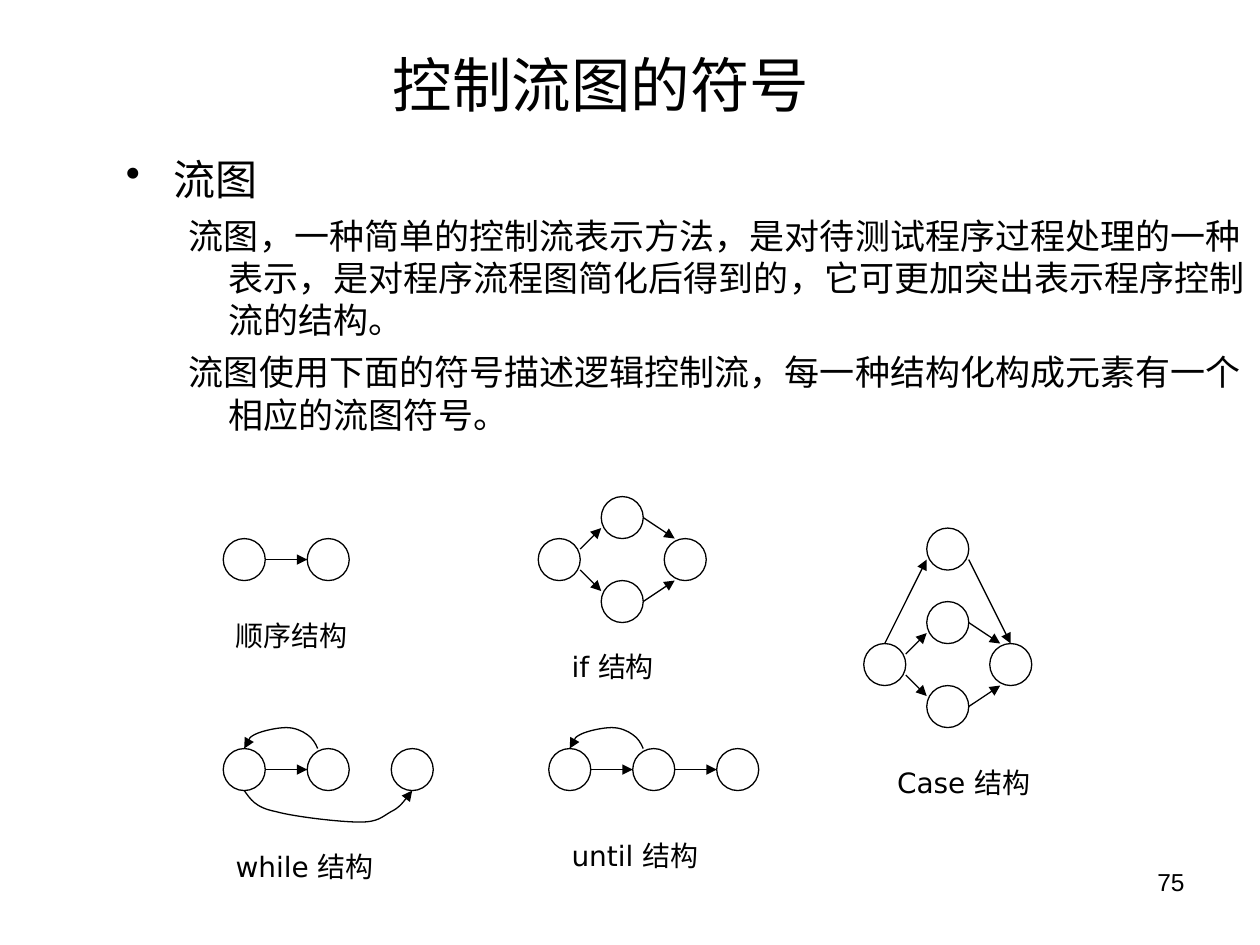
import pptx
import pptx.dml.color
import pptx.enum.shapes
import pptx.enum.text
import pptx.oxml.ns
import pptx.util
from lxml import etree
from pptx.util import Cm

THEME = {
    "ink": pptx.dml.color.RGBColor(0, 0, 0),
    "paper": pptx.dml.color.RGBColor(255, 255, 255),
    "font": "Arial", "label_font": "DejaVu Sans",
    "title": 34, "heading": 24, "body": 20, "label": 16, "number": 14,
    "line": 0.75,
}
ALIGN = pptx.enum.text.PP_ALIGN
ANCHOR = pptx.enum.text.MSO_ANCHOR

TITLE = "控制流图的符号"
NUMBER = "75"
HEADING = "流图"
BODY = [
    "流图，一种简单的控制流表示方法，是对待测试程序过程处理的一种表示，"
    "是对程序流程图简化后得到的，它可更加突出表示程序控制流的结构。",
    "流图使用下面的符号描述逻辑控制流，每一种结构化构成元素有一个相应的流图符号。",
]

UNIT = 2.54 / 12
LEFT, TOP = 4.5, 10.01
NODE = 4
LABEL_SIZE = (17, 4.4)

DIAMOND_NODES = [(0, 0), (6, -4), (6, 4), (12, 0)]
DIAMOND_ARROWS = [((4, 1), (6, -1)), ((10, -2), (13, 0)),
                  ((4, 3), (6, 5)), ((10, 6), (13, 4))]
ROW_NODES = [(0, 0), (8, 0), (16, 0)]
ROW_ARROWS = [((4, 2), (8, 2)), ((12, 2), (16, 2))]
LOOP_BACK = [(9, 0), (8.8, -0.5), (8.5, -1), (8, -1.33), (7.5, -1.7), (6.8, -2), (6, -2),
             (5.2, -2), (3.7, -1.7), (3, -1.33), (2.4, -1), (2.2, -0.3), (2, 0)]
LOOP_EXIT = [(2, 4), (2.6, 4.8), (3, 5.6), (5, 6), (6.8, 6.5), (11.2, 7), (13, 7),
             (14.8, 7), (15.1, 6.5), (16, 6), (16.8, 5.6), (17.4, 4.8), (18, 4)]

STRUCTURES = [
    {"label": "顺序结构", "at": (0, 4), "label_at": (0, 7),
     "nodes": ROW_NODES[:2], "arrows": ROW_ARROWS[:1], "curves": []},
    {"label": "if 结构", "at": (30, 4), "label_at": (2, 10),
     "nodes": DIAMOND_NODES, "arrows": DIAMOND_ARROWS, "curves": []},
    {"label": "Case 结构", "at": (61, 14), "label_at": (2, 11),
     "nodes": DIAMOND_NODES + [(6, -11)],
     "arrows": DIAMOND_ARROWS + [((2, 0), (6, -8)), ((10, -8), (14, 0))], "curves": []},
    {"label": "while 结构", "at": (0, 24), "label_at": (0, 9),
     "nodes": ROW_NODES, "arrows": ROW_ARROWS[:1], "curves": [LOOP_BACK, LOOP_EXIT]},
    {"label": "until 结构", "at": (31, 24), "label_at": (1, 8),
     "nodes": ROW_NODES, "arrows": ROW_ARROWS, "curves": [LOOP_BACK]},
]


def write(tf, text, size, font=THEME["font"], align=ALIGN.LEFT, first=True,
          level=0, margin=0, hang=0, after=0, bullet=None):
    p = tf.paragraphs[0] if first else tf.add_paragraph()
    p.alignment, p.level = align, level
    p.space_after = pptx.util.Pt(after)
    pPr = p._p.get_or_add_pPr()
    pPr.set("marL", str(Cm(margin)))
    pPr.set("indent", str(-Cm(hang)))
    if bullet:
        etree.SubElement(pPr, pptx.oxml.ns.qn("a:buChar")).set("char", bullet)
    r = p.add_run()
    r.text = text
    r.font.size, r.font.name = pptx.util.Pt(size), font
    r.font.color.rgb = THEME["ink"]


def add_box(shapes, x, y, w, h, anchor=ANCHOR.TOP):
    tf = shapes.add_textbox(Cm(x), Cm(y), Cm(w), Cm(h)).text_frame
    tf.word_wrap, tf.vertical_anchor = True, anchor
    return tf


def outline(sp, arrow=False):
    sp.line.color.rgb = THEME["ink"]
    sp.line.width = pptx.util.Pt(THEME["line"])
    if arrow:
        ln = sp.line._get_or_add_ln()
        etree.SubElement(ln, pptx.oxml.ns.qn("a:tailEnd")).set("type", "triangle")


def add_node(shapes, x, y):
    sp = shapes.add_shape(pptx.enum.shapes.MSO_SHAPE.OVAL, x, y, Cm(NODE * UNIT), Cm(NODE * UNIT))
    sp.shadow.inherit = False
    sp.fill.solid()
    sp.fill.fore_color.rgb = THEME["paper"]
    outline(sp)


def add_arrow(shapes, start, end):
    sp = shapes.add_connector(pptx.enum.shapes.MSO_CONNECTOR.STRAIGHT, *start, *end)
    outline(sp, arrow=True)
    etree.SubElement(sp._element.spPr, pptx.oxml.ns.qn("a:effectLst"))


def add_curve(shapes, points):
    builder = shapes.build_freeform(*points[0])
    builder.add_line_segments(points[1:], close=False)
    sp = builder.convert_to_shape()
    sp.shadow.inherit = False
    sp.fill.background()
    outline(sp, arrow=True)
    steps = list(sp._element.iter(pptx.oxml.ns.qn("a:lnTo")))
    for i in range(0, len(steps), 3):
        bezier = etree.Element(pptx.oxml.ns.qn("a:cubicBezTo"))
        steps[i].addprevious(bezier)
        for step in steps[i:i + 3]:
            bezier.append(step[0])
            step.getparent().remove(step)


def add_structure(s, label, at, label_at, nodes, arrows, curves):
    shapes = s.shapes.add_group_shape().shapes

    def place(point):
        return (Cm(LEFT + (at[0] + point[0]) * UNIT), Cm(TOP + (at[1] + point[1]) * UNIT))

    for node in nodes:
        add_node(shapes, *place(node))
    for start, end in arrows:
        add_arrow(shapes, place(start), place(end))
    for curve in curves:
        add_curve(shapes, [place(point) for point in curve])
    x, y = place(label_at)
    tf = add_box(shapes, x.cm, y.cm, *(side * UNIT for side in LABEL_SIZE))
    write(tf, label, THEME["label"], font=THEME["label_font"])


def main():
    """Build the slide on control flow graph symbols."""
    prs = pptx.Presentation()
    prs.slide_width, prs.slide_height = Cm(25.4), Cm(19.05)
    s = prs.slides.add_slide(prs.slide_layouts[6])

    write(add_box(s.shapes, 18.21, 17.35, 5.92, 1.32), NUMBER, THEME["number"], align=ALIGN.RIGHT)
    write(add_box(s.shapes, 1, 0, 22.23, 3.38, ANCHOR.MIDDLE), TITLE, THEME["title"],
          align=ALIGN.CENTER)
    tf = add_box(s.shapes, 2.29, 2.97, 23.11, 6.55)
    write(tf, HEADING, THEME["heading"], margin=0.95, hang=0.95, after=6, bullet="•")
    for text in BODY:
        write(tf, text, THEME["body"], first=False, level=1, margin=2.06, hang=0.79, after=6)

    for structure in STRUCTURES:
        add_structure(s, **structure)
    prs.save("out.pptx")


if __name__ == "__main__":
    main()
